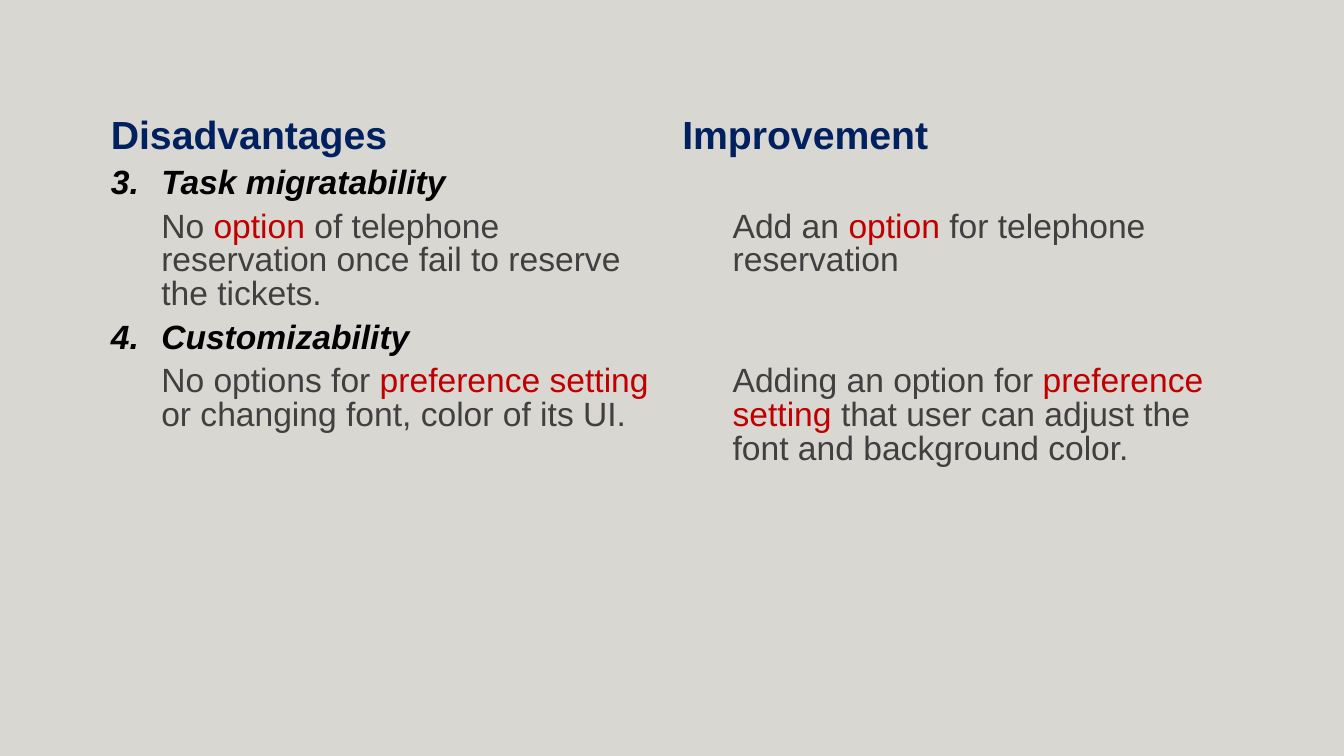
from dataclasses import dataclass

from lxml import etree
from pptx import Presentation
from pptx import util as u
from pptx.dml.color import RGBColor
from pptx.oxml import ns

COLORS = {
    "background": "D9D7D2",
    "header": "002060",
    "heading": "000000",
    "body": "404040",
    "accent": "C00000",
}
NO_STYLE_NO_GRID = "{2D5ABB26-0587-4C30-8999-92F81FD0307C}"
HEADERS = ("Disadvantages", "Improvement")
ROW_HEIGHT = u.Cm(1.04)
COLUMN_WIDTH = u.Cm(14.4)
INDENT = u.Cm(1.27)


@dataclass
class Issue:
    number: int
    heading: str
    disadvantage: str
    improvement: str


ISSUES = [
    Issue(3, "Task migratability",
          "No |option| of telephone reservation once fail to reserve the tickets.",
          "Add an |option| for telephone reservation"),
    Issue(4, "Customizability",
          "No options for |preference setting |or changing font, color of its UI.",
          "Adding an option for |preference setting |that user can adjust "
          "the font and background color."),
]


def write_cell(cell, content: str, *, color: str, size: int = 24, bold: bool = False,
               italic: bool = False, level: int = 0, number: int | None = None) -> None:
    """Fill a cell; every second part between | marks takes the accent colour."""
    paragraph = cell.text_frame.paragraphs[0]
    paragraph.level = level
    paragraph.line_spacing = u.Pt(24)
    properties = paragraph._p.get_or_add_pPr()
    if level or number:
        properties.set("marL", str(INDENT))
        properties.set("indent", str(-INDENT if number else 0))
    if number:
        etree.SubElement(properties, ns.qn("a:buFont"), typeface="+mj-lt")
        etree.SubElement(properties, ns.qn("a:buAutoNum"),
                         type="arabicPeriod", startAt=str(number))
    for index, part in enumerate(content.split("|")):
        run = paragraph.add_run()
        run.text = part
        run.font.name = "Arial"
        run.font.size = u.Pt(size)
        run.font.bold = bold
        run.font.italic = italic
        run.font.color.rgb = RGBColor.from_string(COLORS["accent" if index % 2 else color])


def add_plain_table(slide, rows: int, columns: int):
    frame = slide.shapes.add_table(rows, columns, u.Cm(2.54), u.Cm(3),
                                   COLUMN_WIDTH * columns, ROW_HEIGHT * rows)
    table = frame.table
    table.first_row = False
    table.horz_banding = False
    table._tbl.tblPr.find(ns.qn("a:tableStyleId")).text = NO_STYLE_NO_GRID
    for cell in table.iter_cells():
        cell.fill.background()
    return table


def main() -> None:
    presentation = Presentation()
    presentation.slide_width = u.Cm(33.87)
    presentation.slide_height = u.Cm(19.05)
    slide = presentation.slides.add_slide(presentation.slide_layouts[6])
    slide.background.fill.solid()
    slide.background.fill.fore_color.rgb = RGBColor.from_string(COLORS["background"])

    table = add_plain_table(slide, 1 + 2 * len(ISSUES), len(HEADERS))
    for column, header in enumerate(HEADERS):
        write_cell(table.cell(0, column), header, color="header", size=28, bold=True)
    for index, issue in enumerate(ISSUES):
        row = 1 + 2 * index
        write_cell(table.cell(row, 0), issue.heading, color="heading",
                   bold=True, italic=True, number=issue.number)
        for column, content in enumerate((issue.disadvantage, issue.improvement)):
            write_cell(table.cell(row + 1, column), content, color="body", level=1)

    presentation.save("out.pptx")


if __name__ == "__main__":
    main()
